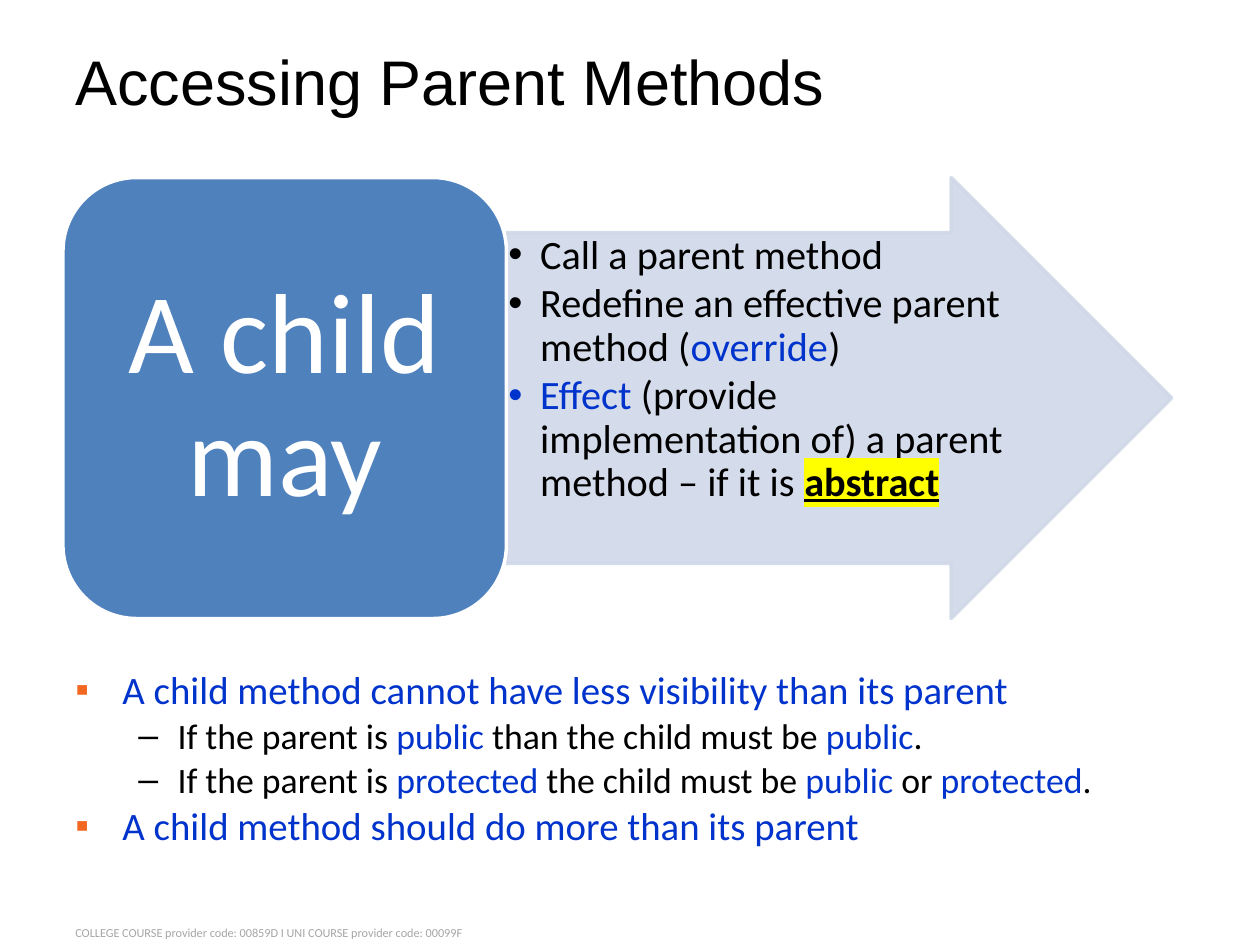
from lxml import etree
from pptx import Presentation
from pptx import util as u
from pptx.dml.color import RGBColor
from pptx.enum import shapes, text
from pptx.oxml.ns import qn

Cm, Pt = u.Cm, u.Pt
BLACK, BLUE, ORANGE, WHITE = "000000", "0033CC", "F26721", "FFFFFF"
STEEL, PALE, GREY, YELLOW = "4F81BD", "D0D8E8", "A6A6A6", "FFFF00"

TITLE = "Accessing Parent Methods"
FOOTER = "COLLEGE COURSE provider code: 00859D I UNI COURSE provider code: 00099F"
ACTOR = "A child may"
# Each paragraph is a list of (words, style) spans
ACTIONS = [
    [("Call a parent method", "plain")],
    [("Redefine an effective parent method (", "plain"), ("override", "blue"), (")", "plain")],
    [("Effect ", "blue"),
     ("(provide implementation of) a parent method – if it is ", "plain"),
     ("abstract", "marked")],
]
RULES = [
    (0, [("A child method cannot have less visibility than its parent", "blue")]),
    (1, [("If the parent is ", "plain"), ("public ", "blue"),
         ("than the child must be ", "plain"), ("public", "blue"), (".", "plain")]),
    (1, [("If the parent is ", "plain"), ("protected ", "blue"),
         ("the child must be ", "plain"), ("public ", "blue"),
         ("or ", "plain"), ("protected", "blue"), (".", "plain")]),
    (0, [("A child method should do more than its parent", "blue")]),
]
# level: (bullet, bullet colour, left indent, hanging indent, text size)
RULE_LEVELS = {0: ("▪", ORANGE, 0.95, 0.95, 22.2), 1: ("–", BLACK, 2.06, 0.79, 20.4)}

LEFT, DIAGRAM_TOP, DIAGRAM_HEIGHT = 1.27, 3.58, 8.89
ACTOR_WIDTH, ARROW_WIDTH = 8.94, 13.41


def rgb(value):
    return RGBColor.from_string(value)


def add_xml(parent, tag, **attributes):
    return etree.SubElement(parent, qn(tag), attributes)


def set_bullet(para, mark, colour, left, hanging):
    props = para._p.get_or_add_pPr()
    props.set("marL", str(Cm(left)))
    props.set("indent", str(-Cm(hanging)))
    add_xml(add_xml(props, "a:buClr"), "a:srgbClr", val=colour)
    add_xml(props, "a:buFont", typeface="Arial")
    add_xml(props, "a:buChar", char=mark)


def format_para(para, size, colour, face="Calibri"):
    para.font.size, para.font.name = Pt(size), face
    para.font.color.rgb = rgb(colour)


def add_spans(para, spans):
    for words, style in spans:
        span = para.add_run()
        span.text = words
        span.font.color.rgb = rgb(BLUE if style == "blue" else BLACK)
        if style == "marked":
            span.font.bold = span.font.underline = True
            highlight = add_xml(span.font._element, "a:highlight")
            add_xml(highlight, "a:srgbClr", val=YELLOW)


def set_frame(frame, anchor, across=0.25, down=0.13):
    frame.word_wrap, frame.vertical_anchor = True, anchor
    frame.margin_left = frame.margin_right = Cm(across)
    frame.margin_top = frame.margin_bottom = Cm(down)
    return frame


def add_paras(frame, count):
    return [frame.paragraphs[0]] + [frame.add_paragraph() for _ in range(count - 1)]


def add_block(page, kind, left, width, fill, line):
    block = page.shapes.add_shape(kind, Cm(left), Cm(DIAGRAM_TOP), Cm(width), Cm(DIAGRAM_HEIGHT))
    block.shadow.inherit = False
    block.fill.solid()
    block.fill.fore_color.rgb = rgb(fill)
    block.line.color.rgb = rgb(line)
    block.line.width = Pt(2)
    return block


def add_arrow(page):
    arrow = add_block(page, shapes.MSO_SHAPE.RIGHT_ARROW, LEFT + ACTOR_WIDTH, ARROW_WIDTH, PALE, PALE)
    arrow.adjustments[0], arrow.adjustments[1] = 0.75, 0.5
    for colour in arrow._element.spPr.iter(qn("a:srgbClr")):
        add_xml(colour, "a:alpha", val="90000")
    frame = set_frame(arrow.text_frame, text.MSO_ANCHOR.TOP, 0.04, 0.04)
    for para, spans in zip(add_paras(frame, len(ACTIONS)), ACTIONS):
        set_bullet(para, "•", BLUE if spans[0][1] == "blue" else BLACK, 0.64, 0.64)
        para.level, para.alignment = 1, text.PP_ALIGN.LEFT
        para.line_spacing, para.space_after = 0.9, Pt(2.8)
        format_para(para, 23, BLACK)
        add_spans(para, spans)


def add_actor(page):
    actor = add_block(page, shapes.MSO_SHAPE.ROUNDED_RECTANGLE, LEFT, ACTOR_WIDTH, STEEL, WHITE)
    frame = set_frame(actor.text_frame, text.MSO_ANCHOR.MIDDLE, 0.69, 0.36)
    frame.text = ACTOR
    para = frame.paragraphs[0]
    para.alignment, para.line_spacing = text.PP_ALIGN.CENTER, 0.9
    format_para(para, 65, WHITE)


def add_rules(page):
    box = page.shapes.add_textbox(Cm(LEFT), Cm(13.39), Cm(22.35), Cm(4.22))
    frame = set_frame(box.text_frame, text.MSO_ANCHOR.TOP)
    for para, (level, spans) in zip(add_paras(frame, len(RULES)), RULES):
        *bullet, size = RULE_LEVELS[level]
        set_bullet(para, *bullet)
        para.level, para.line_spacing, para.space_before = level, 0.9, Pt(3.2)
        format_para(para, size, BLACK)
        add_spans(para, spans)


def add_title(page):
    title = page.shapes.title
    title.left, title.top, title.width, title.height = Cm(LEFT), Cm(0.76), Cm(22.86), Cm(1.7)
    frame = set_frame(title.text_frame, text.MSO_ANCHOR.MIDDLE)
    frame.text = TITLE
    frame.paragraphs[0].alignment = text.PP_ALIGN.LEFT
    format_para(frame.paragraphs[0], 36, BLACK, "Arial")


def add_footer(page):
    box = page.shapes.add_textbox(Cm(LEFT), Cm(18.52), Cm(22.48), Cm(0.53))
    frame = set_frame(box.text_frame, text.MSO_ANCHOR.TOP)
    frame.text = FOOTER
    format_para(frame.paragraphs[0], 7, GREY)


def main():
    deck = Presentation()
    deck.slide_width, deck.slide_height = Cm(25.4), Cm(19.05)
    page = deck.slides.add_slide(deck.slide_layouts[5])
    for add_part in (add_footer, add_title, add_rules, add_arrow, add_actor):
        add_part(page)
    deck.save("out.pptx")


if __name__ == "__main__":
    main()
